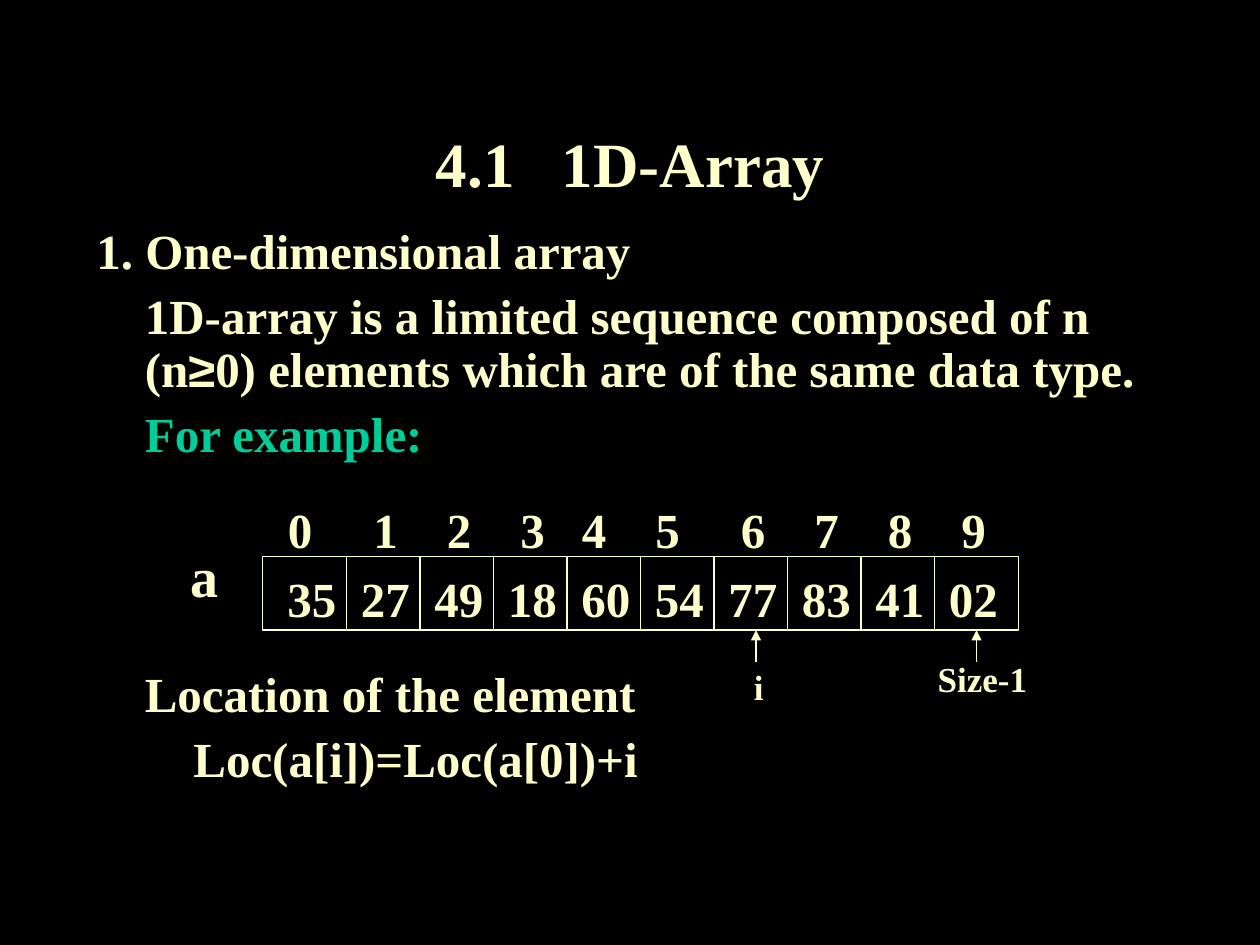
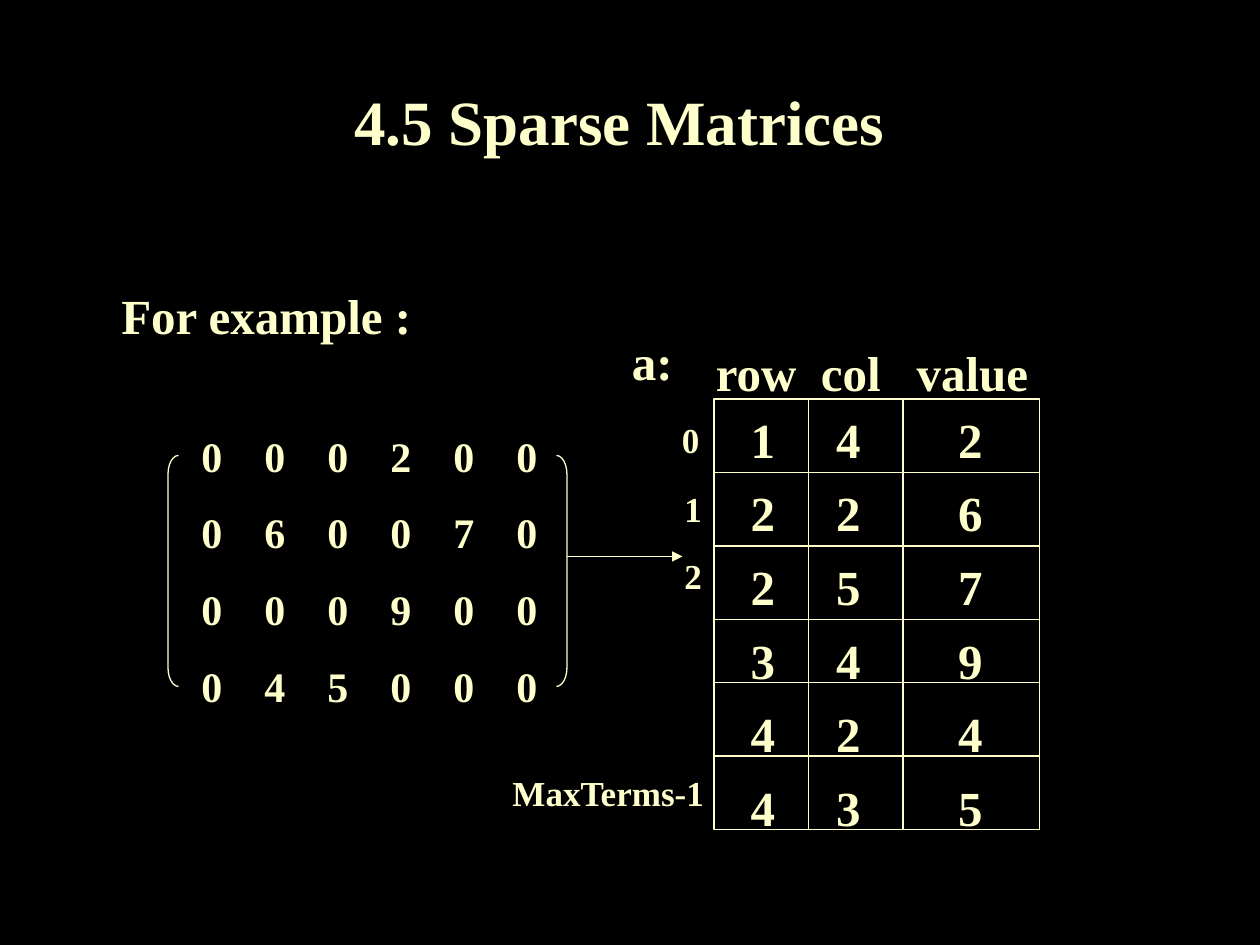
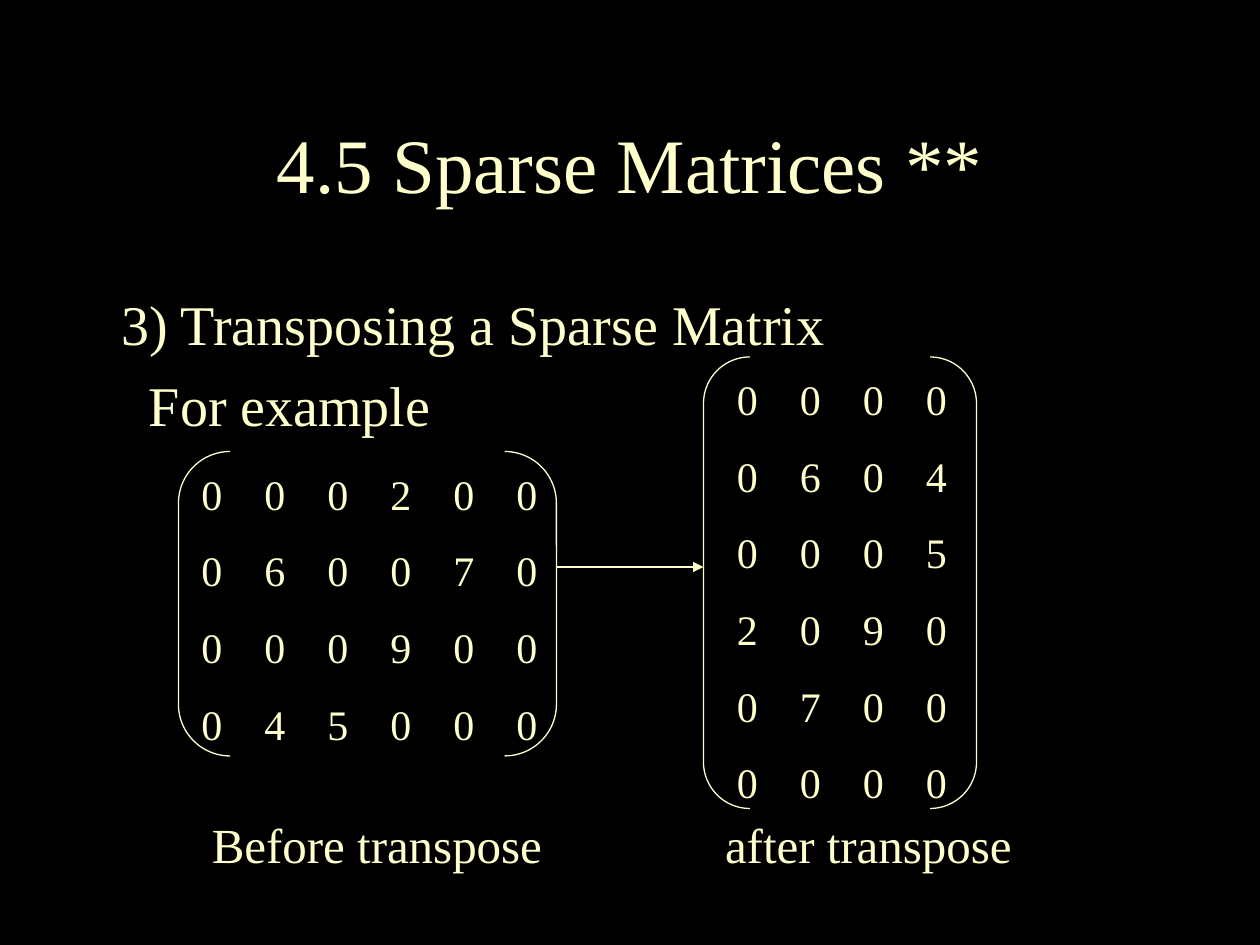
from dataclasses import dataclass

from lxml import etree
from pptx import Presentation
from pptx.dml.color import RGBColor
from pptx.enum.shapes import MSO_CONNECTOR, MSO_SHAPE
from pptx.enum.text import MSO_ANCHOR, MSO_AUTO_SIZE, PP_ALIGN
from pptx.oxml.ns import qn
from pptx.util import Emu, Pt

EMU_PER_PX = 9525
BLACK = RGBColor(0x00, 0x00, 0x00)
CREAM = RGBColor(0xFF, 0xFF, 0xCC)
GREEN = RGBColor(0x00, 0xCC, 0x99)
FONT = "Times New Roman"
SYMBOL_FONT = "Arial"
SYMBOL = "≥"
LINE_WIDTH = Pt(0.75)
TITLE_ONLY = 5
MATRIX_PITCH = 48
ELEMENT_PITCH = 56

STRAIGHT = MSO_CONNECTOR.STRAIGHT
RECTANGLE = MSO_SHAPE.RECTANGLE
LEFT_BRACKET = MSO_SHAPE.LEFT_BRACKET
RIGHT_BRACKET = MSO_SHAPE.RIGHT_BRACKET
BRACKET_PAIR = MSO_SHAPE.DOUBLE_BRACKET
LEFT = PP_ALIGN.LEFT
CENTER = PP_ALIGN.CENTER
TOP = MSO_ANCHOR.TOP
MIDDLE = MSO_ANCHOR.MIDDLE
NO_AUTOFIT = MSO_AUTO_SIZE.NONE

SPARSE_ROWS = ["000200", "060070", "000900", "045000"]
TERMS = ["142", "226", "257", "349", "424", "435"]
ELEMENTS = ["35", "27", "49", "18", "60", "54", "77", "83", "41", "02"]


@dataclass(frozen=True)
class Box:
    left: int
    top: int
    width: int
    height: int

    def emu(self) -> list[Emu]:
        return [px(value) for value in (self.left, self.top, self.width, self.height)]


@dataclass(frozen=True)
class Line:
    text: str
    indent: int = 0
    color: RGBColor = CREAM


@dataclass(frozen=True)
class TextBlock:
    box: Box
    lines: list[Line]
    size: int
    bold: bool = False
    space_before: float = 0
    line_spacing: float = 1.0
    tabs: tuple[int, ...] = ()
    wrap: bool = True


@dataclass(frozen=True)
class Grid:
    block: TextBlock
    inset_left: int
    inset_top: int
    column_edges: list[int]
    row_edges: list[int]


@dataclass(frozen=True)
class Bracket:
    shape_type: MSO_SHAPE
    box: Box
    adjustment: float


@dataclass(frozen=True)
class Segment:
    start: tuple[int, int]
    end: tuple[int, int]
    arrow: bool = False


def px(value: int) -> Emu:
    return Emu(value * EMU_PER_PX)


def write_runs(paragraph, text: str, size: int, bold: bool, color: RGBColor = CREAM) -> None:
    for piece in filter(None, text.partition(SYMBOL)):
        run = paragraph.add_run()
        run.text = piece
        run.font.name = SYMBOL_FONT if piece == SYMBOL else FONT
        run.font.size = Pt(size)
        run.font.bold = bold
        run.font.color.rgb = color


def add_tab_stops(paragraph, tabs: tuple[int, ...]) -> None:
    tab_list = etree.SubElement(paragraph._p.get_or_add_pPr(), qn("a:tabLst"))
    for position in tabs:
        etree.SubElement(tab_list, qn("a:tab"), pos=str(px(position)), algn="l")


def fill_text(text_frame, block: TextBlock) -> None:
    text_frame.word_wrap = block.wrap
    text_frame.auto_size = NO_AUTOFIT
    text_frame.vertical_anchor = TOP
    for index, line in enumerate(block.lines):
        paragraph = text_frame.add_paragraph() if index else text_frame.paragraphs[0]
        paragraph.alignment = LEFT
        paragraph.line_spacing = block.line_spacing
        if index:
            paragraph.space_before = Pt(block.space_before)
        if line.indent:
            paragraph._p.get_or_add_pPr().set("marL", str(px(line.indent)))
        if block.tabs:
            add_tab_stops(paragraph, block.tabs)
        write_runs(paragraph, line.text, block.size, block.bold, line.color)


def add_text(slide, block: TextBlock) -> None:
    fill_text(slide.shapes.add_textbox(*block.box.emu()).text_frame, block)


def add_label(slide, text: str, box: Box, size: int = 20) -> None:
    add_text(slide, TextBlock(box, [Line(text)], size, bold=True, wrap=False))


def tabbed_lines(rows) -> list[Line]:
    return [Line("\t".join(row)) for row in rows]


def add_matrix(slide, rows: list[str], box: Box, bold: bool = False) -> None:
    tabs = tuple(MATRIX_PITCH * column for column in range(1, len(rows[0])))
    add_text(slide, TextBlock(box, tabbed_lines(rows), 24, bold, 15, tabs=tabs))


def add_outline(slide, shape_type: MSO_SHAPE, box: Box):
    shape = slide.shapes.add_shape(shape_type, *box.emu())
    shape.shadow.inherit = False
    shape.fill.background()
    shape.line.color.rgb = CREAM
    shape.line.width = LINE_WIDTH
    return shape


def add_bracket(slide, bracket: Bracket) -> None:
    shape = add_outline(slide, bracket.shape_type, bracket.box)
    shape.adjustments[0] = bracket.adjustment


def add_segment(slide, segment: Segment) -> None:
    ends = [px(value) for value in segment.start + segment.end]
    connector = slide.shapes.add_connector(STRAIGHT, *ends)
    connector.line.color.rgb = CREAM
    connector.line.width = LINE_WIDTH
    if segment.arrow:
        line = connector.line._get_or_add_ln()
        etree.SubElement(line, qn("a:tailEnd"), type="triangle")
    etree.SubElement(connector._element.spPr, qn("a:effectLst"))


def add_grid(slide, grid: Grid) -> None:
    box = grid.block.box
    text_frame = add_outline(slide, RECTANGLE, box).text_frame
    text_frame.margin_left = px(grid.inset_left)
    text_frame.margin_top = px(grid.inset_top)
    fill_text(text_frame, grid.block)
    for x in grid.column_edges:
        add_segment(slide, Segment((x, box.top), (x, box.top + box.height)))
    for y in grid.row_edges:
        add_segment(slide, Segment((box.left, y), (box.left + box.width, y)))


def add_slide(presentation, title: str, left: int, top: int, size: int, bold: bool):
    slide = presentation.slides.add_slide(presentation.slide_layouts[TITLE_ONLY])
    shape = slide.shapes.title
    shape.left, shape.top, shape.width, shape.height = Box(left, top, 816, 120).emu()
    text_frame = shape.text_frame
    text_frame.word_wrap = True
    text_frame.auto_size = NO_AUTOFIT
    text_frame.vertical_anchor = MIDDLE
    paragraph = text_frame.paragraphs[0]
    paragraph.alignment = CENTER
    write_runs(paragraph, title, size, bold)
    return slide


def build_array_slide(presentation) -> None:
    slide = add_slide(presentation, "4.1   1D-Array", 72, 64, 36, True)
    definition = [
        Line("1. One-dimensional array"),
        Line("1D-array is a limited sequence composed of n (n≥0) elements "
             "which are of the same data type.", 37),
        Line("For example:", 37, GREEN),
    ]
    location = [
        Line("Location of the element", 37),
        Line("Loc(a[i])=Loc(a[0])+i", 74),
    ]
    for box, lines in (
        (Box(64, 168, 840, 200), definition),
        (Box(64, 506, 480, 112), location),
    ):
        add_text(slide, TextBlock(box, lines, 28, True, 7, 0.9))

    steps = range(1, len(ELEMENTS))
    element_tabs = tuple(ELEMENT_PITCH * step for step in steps)
    elements = TextBlock(
        Box(200, 424, 576, 56), tabbed_lines([ELEMENTS]), 28, True, tabs=element_tabs
    )
    column_edges = [208 + ELEMENT_PITCH * step for step in steps]
    add_grid(slide, Grid(elements, 19, 9, column_edges, []))
    index_tabs = (65, 121, 177, 224, 280, 345, 401, 457, 513)
    indices = tabbed_lines(["0123456789"])
    add_text(slide, TextBlock(Box(210, 376, 576, 55), indices, 28, True, tabs=index_tabs))

    add_label(slide, "a", Box(136, 408, 48, 60), 32)
    add_label(slide, "Size-1", Box(705, 496, 88, 42))
    add_label(slide, "i", Box(565, 502, 27, 42))
    for x in (576, 744):
        add_segment(slide, Segment((x, 504), (x, 480), True))


def build_terms_slide(presentation) -> None:
    slide = add_slide(presentation, "4.5 Sparse Matrices", 64, 32, 36, True)
    add_text(slide, TextBlock(Box(72, 213, 400, 56), [Line("For example :", 11)], 28, True))

    add_matrix(slide, SPARSE_ROWS, Box(144, 323, 280, 224), True)
    for shape_type, left in ((LEFT_BRACKET, 128), (RIGHT_BRACKET, 424)):
        add_bracket(slide, Bracket(shape_type, Box(left, 347, 8, 176), 1.8))
    add_segment(slide, Segment((432, 424), (520, 424), True))

    terms = TextBlock(
        Box(544, 304, 248, 328), tabbed_lines(TERMS), 28, True, 8.4, tabs=(65, 158)
    )
    add_grid(slide, Grid(terms, 28, 8, [616, 688], [360, 416, 472, 520, 576]))
    header = tabbed_lines([("row", "col", "value")])
    add_text(slide, TextBlock(Box(536, 256, 312, 55), header, 28, True, tabs=(80, 153)))
    add_label(slide, "a:", Box(472, 248, 51, 55), 28)
    for text, box in (
        ("0", Box(510, 314, 33, 42)),
        ("1", Box(512, 367, 33, 42)),
        ("2", Box(512, 418, 33, 42)),
        ("MaxTerms-1", Box(381, 583, 168, 42)),
    ):
        add_label(slide, text, box)


def build_transpose_slide(presentation) -> None:
    slide = add_slide(presentation, "4.5 Sparse Matrices **", 72, 64, 44, False)
    lines = [Line("3) Transposing a Sparse Matrix", 11), Line("For example", 32)]
    add_text(slide, TextBlock(Box(72, 216, 816, 128), lines, 32, space_before=8))

    transposed = ["".join(column) for column in zip(*SPARSE_ROWS)]
    add_matrix(slide, SPARSE_ROWS, Box(144, 352, 280, 224))
    add_matrix(slide, transposed, Box(552, 280, 280, 340))
    for box in (Box(136, 344, 288, 232), Box(536, 272, 208, 344)):
        add_bracket(slide, Bracket(BRACKET_PAIR, box, 0.17))
    add_segment(slide, Segment((424, 432), (536, 432), True))

    captions = tabbed_lines([("Before transpose", "after transpose")])
    add_text(slide, TextBlock(Box(152, 616, 672, 55), captions, 28, tabs=(391,)))


def main() -> None:
    presentation = Presentation()
    presentation.slide_width = px(960)
    presentation.slide_height = px(720)
    background = presentation.slide_master.background.fill
    background.solid()
    background.fore_color.rgb = BLACK
    build_array_slide(presentation)
    build_terms_slide(presentation)
    build_transpose_slide(presentation)
    presentation.save("out.pptx")


if __name__ == "__main__":
    main()
